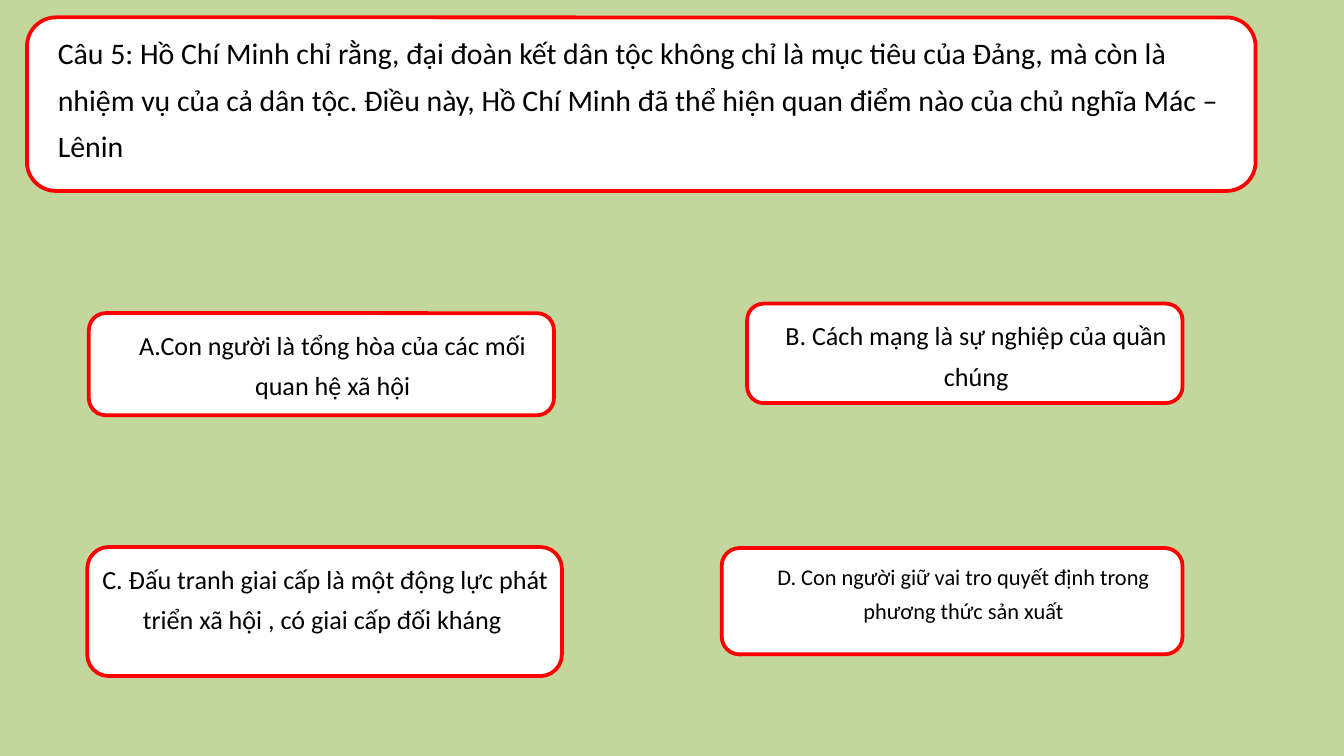
from pptx import Presentation
from pptx.dml.color import RGBColor
from pptx.enum.shapes import MSO_SHAPE as Shape
from pptx.enum.text import MSO_ANCHOR as Anchor, MSO_AUTO_SIZE as AutoSize, PP_ALIGN as Align
from pptx.util import Cm, Pt

GREEN = RGBColor(0xC3, 0xD6, 0x9B)
WHITE = RGBColor(0xFF, 0xFF, 0xFF)
RED = RGBColor(0xFF, 0x00, 0x00)
BLACK = RGBColor(0x00, 0x00, 0x00)

QUESTION = (
    "Câu 5: Hồ Chí Minh chỉ rằng, đại đoàn kết dân tộc không chỉ là mục tiêu của Đảng, "
    "mà còn là nhiệm vụ của cả dân tộc. Điều này, Hồ Chí Minh đã thể hiện quan điểm nào "
    "của chủ nghĩa Mác – Lênin"
)
QUESTION_CARD = (0.51, 0.33, 23.22, 3.28)

# Card (left, top, width, height), text indent and text height in cm, font size, wording
ANSWERS = [
    ((1.68, 5.92, 8.79, 1.93), 0.43, 1.4, 14,
     "A.Con người là tổng hòa của các mối quan hệ xã hội"),
    ((14.12, 5.74, 8.23, 1.88), 0.43, 1.4, 14,
     "B. Cách mạng là sự nghiệp của quần chúng"),
    ((1.65, 10.34, 8.97, 2.44), 0.03, 2.18, 14,
     "C. Đấu tranh giai cấp là một động lực phát triển xã hội , có giai cấp đối kháng "),
    ((13.64, 10.36, 8.71, 2.01), 0.43, 1.4, 12,
     "D. Con người giữ vai tro quyết định trong phương thức sản xuất"),
]


def set_all(target, values):
    for name, value in values.items():
        setattr(target, name, value)


def add_card(page, bounds):
    card = page.shapes.add_shape(Shape.ROUNDED_RECTANGLE, *map(Cm, bounds))
    card.shadow.inherit = False
    card.fill.solid()
    card.fill.fore_color.rgb = WHITE
    card.line.color.rgb = RED
    card.line.width = Pt(2)


def place_on_card(box, bounds, indent, height):
    """Align the box with the card's top and right edges, indented on the left."""
    left, top, width, _ = bounds
    set_all(box, {"left": Cm(left + indent), "top": Cm(top),
                  "width": Cm(width - indent), "height": Cm(height)})


def write_text(box, text, size, align):
    frame = box.text_frame
    set_all(frame, {"word_wrap": True, "auto_size": AutoSize.NONE,
                    "vertical_anchor": Anchor.TOP})
    para = frame.paragraphs[0]
    set_all(para, {"alignment": align, "line_spacing": 1.3})
    span = para.add_run()
    span.text = text
    set_all(span.font, {"name": "Calibri", "size": Pt(size)})
    span.font.color.rgb = BLACK


def add_question(page):
    add_card(page, QUESTION_CARD)
    title = page.shapes.title
    title._element.getparent().append(title._element)  # in front of its card
    place_on_card(title, QUESTION_CARD, 0.33, 2.95)
    write_text(title, QUESTION, 16, Align.LEFT)


def add_answer(page, bounds, indent, height, size, text):
    add_card(page, bounds)
    box = page.shapes.add_textbox(0, 0, 0, 0)
    place_on_card(box, bounds, indent, height)
    write_text(box, text, size, Align.CENTER)


def main():
    deck = Presentation()
    set_all(deck, {"slide_width": Cm(25.4), "slide_height": Cm(14.29)})
    page = deck.slides.add_slide(deck.slide_layouts.get_by_name("Title Only"))
    page.background.fill.solid()
    page.background.fill.fore_color.rgb = GREEN
    add_question(page)
    for answer in ANSWERS:
        add_answer(page, *answer)
    deck.save("out.pptx")


if __name__ == "__main__":
    main()
